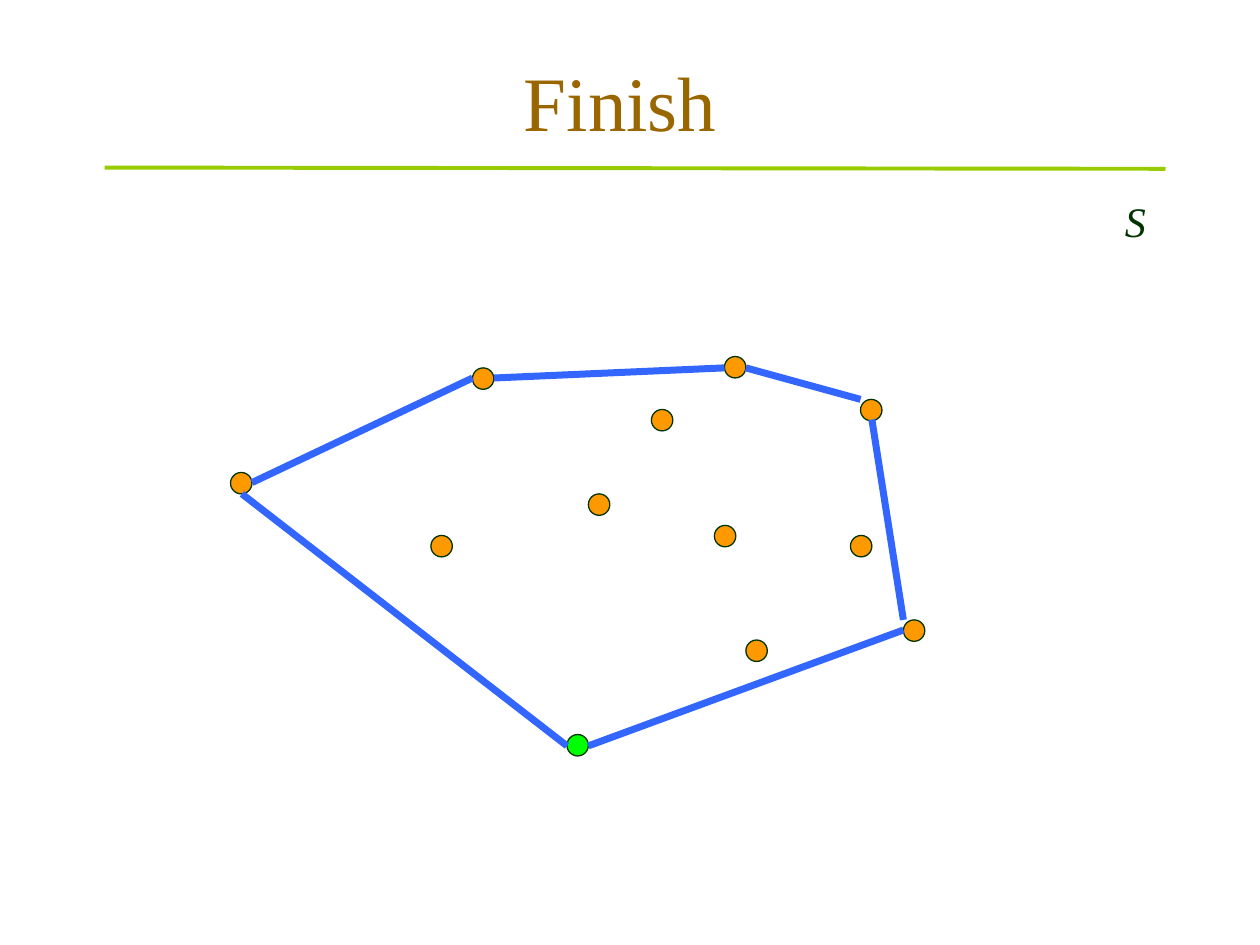
from typing import NamedTuple

from lxml import etree
from pptx import Presentation
from pptx.dml.color import RGBColor
from pptx.enum.shapes import MSO_CONNECTOR, MSO_SHAPE
from pptx.enum.text import MSO_ANCHOR, PP_ALIGN
from pptx.oxml.ns import qn
from pptx.util import Inches, Pt

OVAL = MSO_SHAPE.OVAL
STRAIGHT = MSO_CONNECTOR.STRAIGHT
MIDDLE = MSO_ANCHOR.MIDDLE
TOP = MSO_ANCHOR.TOP
CENTER = PP_ALIGN.CENTER
LEFT = PP_ALIGN.LEFT

FONT = "Times New Roman"
BROWN, DARK = "996600", "003300"
GREEN, ORANGE = "00FF00", "FF9900"
BLUE, LIME = "3366FF", "99CC00"
DOT = 0.17


class Dot(NamedTuple):
    left: float
    top: float
    fill: str = ORANGE


class Line(NamedTuple):
    x1: float
    y1: float
    x2: float
    y2: float
    color: str = BLUE
    width: float = 4


class Label(NamedTuple):
    text: str
    left: float
    top: float
    width: float
    height: float
    size: float
    color: str
    align: PP_ALIGN = LEFT
    anchor: MSO_ANCHOR = TOP
    italic: bool = False
    wrap: bool = True


def paint(color: str) -> RGBColor:
    return RGBColor.from_string(color)


def add_dot(slide, dot: Dot) -> None:
    shape = slide.shapes.add_shape(
        OVAL, Inches(dot.left), Inches(dot.top), Inches(DOT), Inches(DOT))
    shape.shadow.inherit = False
    shape.fill.solid()
    shape.fill.fore_color.rgb = paint(dot.fill)
    shape.line.color.rgb = paint(DARK)
    shape.line.width = Pt(0.75)


def add_line(slide, line: Line) -> None:
    ends = (Inches(n) for n in line[:4])
    shape = slide.shapes.add_connector(STRAIGHT, *ends)
    shape.line.color.rgb = paint(line.color)
    shape.line.width = Pt(line.width)
    etree.SubElement(shape._element.spPr, qn("a:effectLst"))


def add_label(slide, label: Label) -> None:
    box = slide.shapes.add_textbox(
        Inches(label.left), Inches(label.top),
        Inches(label.width), Inches(label.height))
    frame = box.text_frame
    frame.word_wrap = label.wrap
    frame.vertical_anchor = label.anchor
    frame.text = label.text
    para = frame.paragraphs[0]
    para.alignment = label.align
    font = para.runs[0].font
    font.name = FONT
    font.size = Pt(label.size)
    font.italic = label.italic
    font.color.rgb = paint(label.color)


LABELS = [
    Label("Finish ", 0.75, 0.17, 8.5, 1.25, 44, BROWN, CENTER, MIDDLE),
    Label("S", 8.83, 1.5, 0.37, 0.5, 24, DARK, italic=True, wrap=False),
]

# Start point first, then the rest of the point set
DOTS = [
    Dot(4.5, 5.83, GREEN),
    Dot(1.83, 3.75), Dot(6.83, 3.17), Dot(5.75, 2.83), Dot(7.17, 4.92),
    Dot(6.75, 4.25), Dot(5.17, 3.25), Dot(4.67, 3.92), Dot(3.75, 2.92),
    Dot(3.42, 4.25), Dot(5.67, 4.17), Dot(5.92, 5.08),
]

# Title rule, then the hull edges in order from the start point
LINES = [
    Line(0.83, 1.33, 9.25, 1.34, LIME, 2.25),
    Line(4.67, 5.92, 7.17, 5),
    Line(7.17, 4.92, 6.92, 3.33),
    Line(5.92, 2.92, 6.83, 3.17),
    Line(5.75, 2.92, 3.92, 3),
    Line(3.75, 3, 2, 3.83),
    Line(4.5, 5.92, 1.92, 3.92),
]


def main() -> None:
    deck = Presentation()
    deck.slide_width, deck.slide_height = Inches(10), Inches(7.5)
    slide = deck.slides.add_slide(deck.slide_layouts[6])
    for label in LABELS:
        add_label(slide, label)
    for dot in DOTS:
        add_dot(slide, dot)
    for line in LINES:
        add_line(slide, line)
    deck.save("out.pptx")


if __name__ == "__main__":
    main()
